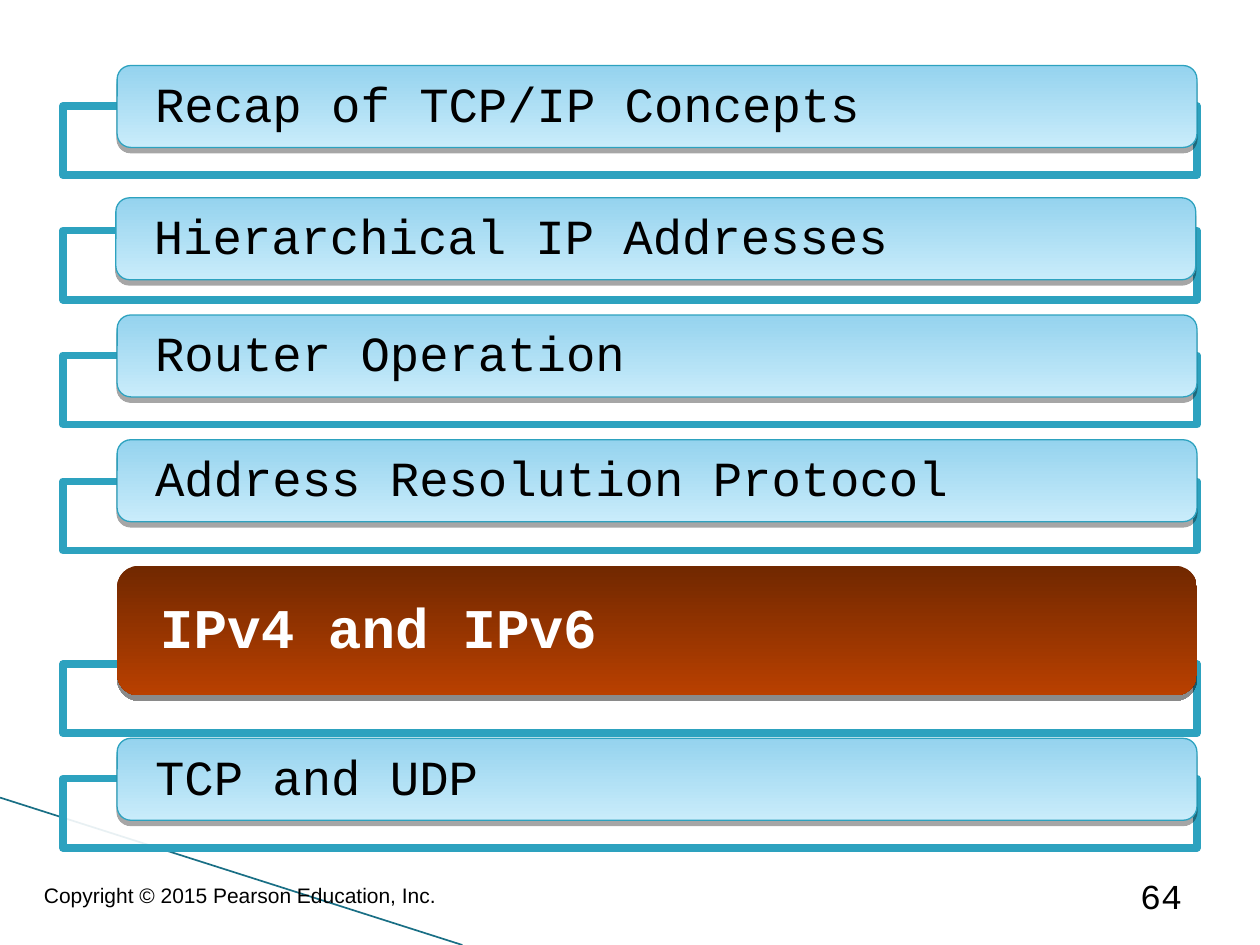
from typing import NamedTuple

from lxml import etree
from pptx import Presentation
from pptx.dml.color import RGBColor
from pptx.enum.shapes import MSO_CONNECTOR, MSO_SHAPE
from pptx.enum.text import MSO_ANCHOR, PP_ALIGN
from pptx.oxml.ns import qn
from pptx.util import Inches, Pt

RECT, ROUNDED = MSO_SHAPE.RECTANGLE, MSO_SHAPE.ROUNDED_RECTANGLE
STRAIGHT = MSO_CONNECTOR.STRAIGHT
MIDDLE, BOTTOM = MSO_ANCHOR.MIDDLE, MSO_ANCHOR.BOTTOM
LEFT, RIGHT = PP_ALIGN.LEFT, PP_ALIGN.RIGHT

COLORS = {
    "black": "000000", "white": "FFFFFF", "teal": "2DA2BF", "diagonal": "196F85",
    "blue_top": "95D3EE", "blue_bottom": "C9ECFB",
    "rust_top": "712800", "rust_bottom": "B94000",
}
MONO, SANS = "Courier New", "Arial"


class Style(NamedTuple):
    height: float
    gradient: tuple[str, str]
    outline: bool
    shadow_alpha: int
    inset_left: float
    inset_y: float
    size: int
    bold: bool
    color: str
    space_after: float


class Topic(NamedTuple):
    text: str
    frame_top: float
    label_left: float
    label_top: float
    style: Style


NORMAL = Style(0.65, ("blue_top", "blue_bottom"), True, 35, 0.27, 0.03, 28, False, "black", 9.8)
CURRENT = Style(1.03, ("rust_top", "rust_bottom"), False, 45, 0.29, 0.05, 32, True, "white", 11.2)

TOPICS = [
    Topic("Recap of TCP/IP Concepts", 0.84, 0.93, 0.52, NORMAL),
    Topic("Hierarchical IP Addresses", 1.83, 0.92, 1.57, NORMAL),
    Topic("Router Operation", 2.82, 0.93, 2.5, NORMAL),
    Topic("Address Resolution Protocol", 3.82, 0.93, 3.49, NORMAL),
    Topic("IPv4 and IPv6", 5.27, 0.93, 4.49, CURRENT),
    Topic("TCP and UDP", 6.18, 0.93, 5.86, NORMAL),
]


def rgb(name: str) -> RGBColor:
    return RGBColor.from_string(COLORS[name])


def format_run(p, font: str, size: int, color: str, bold: bool = False) -> None:
    f = p.runs[0].font
    f.name, f.size, f.bold = font, Pt(size), bold
    f.color.rgb = rgb(color)


def add_diagonal(slide) -> None:
    line = slide.shapes.add_connector(STRAIGHT, 0, Inches(6.33), Inches(3.67), Inches(7.5))
    line.line.color.rgb = rgb("diagonal")
    line.line.width = Pt(0.96)
    etree.SubElement(line._element.spPr, qn("a:effectLst"))


def add_frame(slide, top: float) -> None:
    sp = slide.shapes.add_shape(RECT, Inches(0.5), Inches(top), Inches(9), Inches(0.55))
    sp.shadow.inherit = False
    sp.fill.solid()
    sp.fill.fore_color.rgb = rgb("white")
    color = sp._element.spPr.find(qn("a:solidFill"))[0]
    etree.SubElement(color, qn("a:alpha"), val="90000")
    sp.line.color.rgb = rgb("teal")
    sp.line.width = Pt(4.34)


def add_drop_shadow(sp, alpha: int) -> None:
    sp.shadow.inherit = False
    effects = sp._element.spPr.find(qn("a:effectLst"))
    shadow = etree.SubElement(effects, qn("a:outerShdw"), blurRad="0", dist=str(Pt(3)),
                              dir="5400000", rotWithShape="0")
    color = etree.SubElement(shadow, qn("a:srgbClr"), val=COLORS["black"])
    etree.SubElement(color, qn("a:alpha"), val=str(alpha * 1000))


def add_label(slide, topic: Topic) -> None:
    st = topic.style
    sp = slide.shapes.add_shape(ROUNDED, Inches(topic.label_left), Inches(topic.label_top),
                                Inches(8.57), Inches(st.height))
    sp.adjustments[0] = 0.167
    sp.fill.gradient()
    sp.fill.gradient_angle = 270
    for stop, color in zip(sp.fill.gradient_stops, st.gradient):
        stop.color.rgb = rgb(color)
    if st.outline:
        sp.line.color.rgb = rgb("teal")
        sp.line.width = Pt(0.75)
    else:
        sp.line.fill.background()
    add_drop_shadow(sp, st.shadow_alpha)

    tf = sp.text_frame
    tf.word_wrap = True
    tf.vertical_anchor = MIDDLE
    tf.margin_left, tf.margin_right = Inches(st.inset_left), Inches(0.24)
    tf.margin_top = tf.margin_bottom = Inches(st.inset_y)
    tf.text = topic.text
    p = tf.paragraphs[0]
    p.alignment, p.line_spacing, p.space_after = LEFT, 0.9, Pt(st.space_after)
    format_run(p, MONO, st.size, st.color, st.bold)


def add_footer(slide, text: str, box: tuple[float, float, float, float],
               font: str, size: int, align) -> None:
    tf = slide.shapes.add_textbox(*map(Inches, box)).text_frame
    tf.word_wrap = True
    tf.vertical_anchor = BOTTOM
    tf.text = text
    tf.paragraphs[0].alignment = align
    format_run(tf.paragraphs[0], font, size, "black")


def main() -> None:
    prs = Presentation()
    prs.slide_width, prs.slide_height = Inches(10), Inches(7.5)
    slide = prs.slides.add_slide(prs.slide_layouts[6])

    # Background decoration
    add_diagonal(slide)

    # Agenda with the current topic highlighted
    for topic in TOPICS:
        add_frame(slide, topic.frame_top)
        add_label(slide, topic)

    # Page number and copyright
    add_footer(slide, "64", (8.58, 6.92, 0.9, 0.4), MONO, 20, RIGHT)
    add_footer(slide, "Copyright © 2015 Pearson Education, Inc.",
               (0.25, 6.93, 3.42, 0.32), SANS, 12, LEFT)

    prs.save("out.pptx")


if __name__ == "__main__":
    main()
